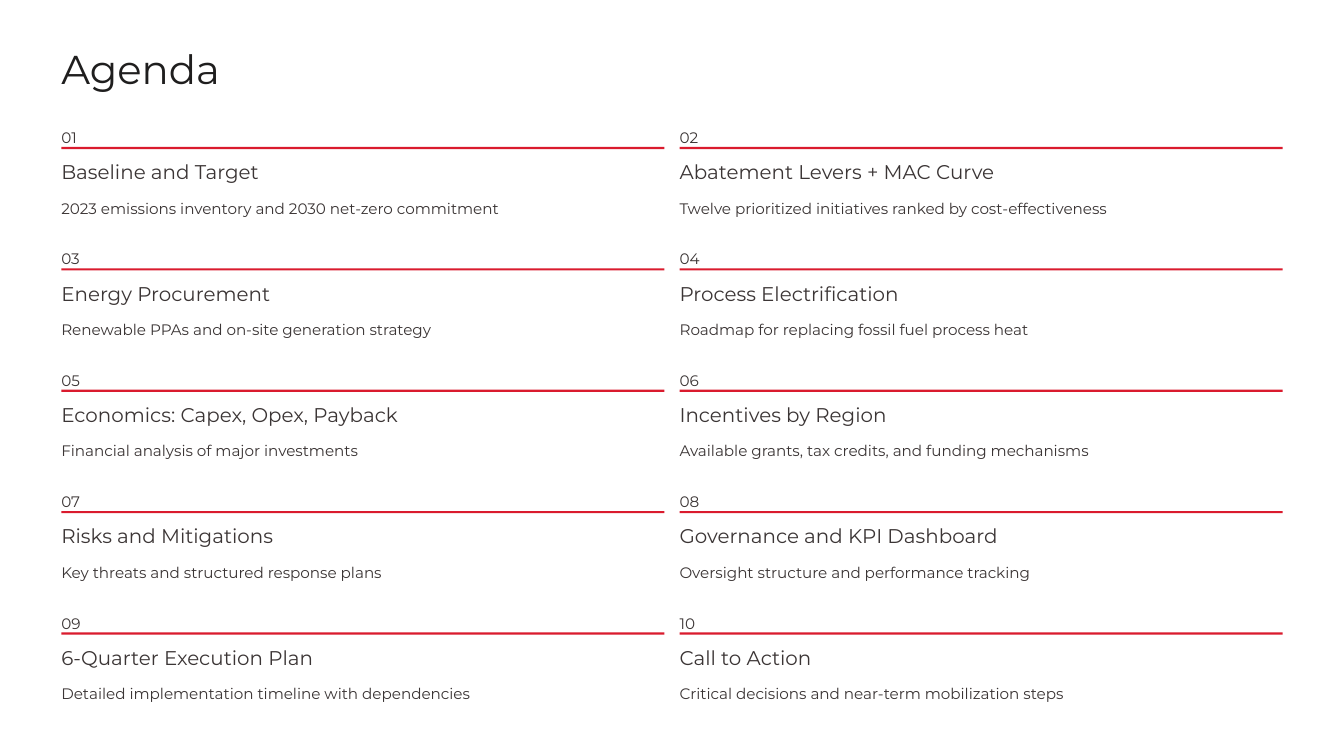
from pptx import Presentation
from pptx.dml.color import RGBColor
from pptx.enum.shapes import MSO_SHAPE as Shape
from pptx.util import Inches, Pt

FONT = "Montserrat"
TITLE_INK, INK, RED = "1F1E1E", "3B3535", "DA1B2E"
LEFT, TOP = 0.73, 1.46
COLUMNS, COLUMN_WIDTH, GUTTER = 2, 7.18, 0.18
ROW_PITCH = 5.78 / 4

TOPICS = [
    ("Baseline and Target", 2.4, "2023 emissions inventory and 2030 net-zero commitment"),
    ("Abatement Levers + MAC Curve", 3.87, "Twelve prioritized initiatives ranked by cost-effectiveness"),
    ("Energy Procurement", 2.51, "Renewable PPAs and on-site generation strategy"),
    ("Process Electrification", 2.78, "Roadmap for replacing fossil fuel process heat"),
    ("Economics: Capex, Opex, Payback", 4.19, "Financial analysis of major investments"),
    ("Incentives by Region", 2.56, "Available grants, tax credits, and funding mechanisms"),
    ("Risks and Mitigations", 2.65, "Key threats and structured response plans"),
    ("Governance and KPI Dashboard", 3.88, "Oversight structure and performance tracking"),
    ("6-Quarter Execution Plan", 3.1, "Detailed implementation timeline with dependencies"),
    ("Call to Action", 2.4, "Critical decisions and near-term mobilization steps"),
]


def color(value):
    """Turn a hex string into a colour."""
    return RGBColor.from_string(value)


def add_text(page, text, left, top, width, height, size=13, leading=20.5, ink=INK):
    """Add one line of text in a box without margins."""
    box = page.shapes.add_textbox(Inches(left), Inches(top), Inches(width), Inches(height))
    frame = box.text_frame
    frame.margin_left = frame.margin_top = frame.margin_right = frame.margin_bottom = 0
    frame.word_wrap = False
    para = frame.paragraphs[0]
    para.line_spacing = Pt(leading)
    span = para.add_run()
    span.text = text
    span.font.name = FONT
    span.font.size = Pt(size)
    span.font.color.rgb = color(ink)


def add_rule(page, left, top):
    """Add the thin red bar that spans a column."""
    bar = page.shapes.add_shape(
        Shape.RECTANGLE, Inches(left), Inches(top), Inches(COLUMN_WIDTH), Pt(1.8))
    bar.shadow.inherit = False
    bar.fill.solid()
    bar.fill.fore_color.rgb = color(RED)
    bar.line.fill.background()


def add_topic(page, index, heading, heading_width, summary):
    """Add a numbered agenda topic in its grid cell."""
    row, column = divmod(index, COLUMNS)
    left = LEFT + column * (COLUMN_WIDTH + GUTTER)
    top = TOP + row * ROW_PITCH
    add_text(page, f"{index + 1:02d}", left, top, 0.3, 0.23)
    add_rule(page, left, top + 0.29)
    add_text(page, heading, left, top + 0.43, heading_width, 0.3, size=17, leading=21.5)
    add_text(page, summary, left, top + 0.84, COLUMN_WIDTH, 0.29)


def main():
    """Build the agenda slide and save it."""
    deck = Presentation()
    deck.slide_width, deck.slide_height = Inches(16), Inches(9)
    page = deck.slides.add_slide(deck.slide_layouts[6])
    add_text(page, "Agenda", LEFT, 0.5, 4.8, 0.6, size=34.5, leading=43, ink=TITLE_INK)
    for index, topic in enumerate(TOPICS):
        add_topic(page, index, *topic)
    deck.save("out.pptx")


if __name__ == "__main__":
    main()
